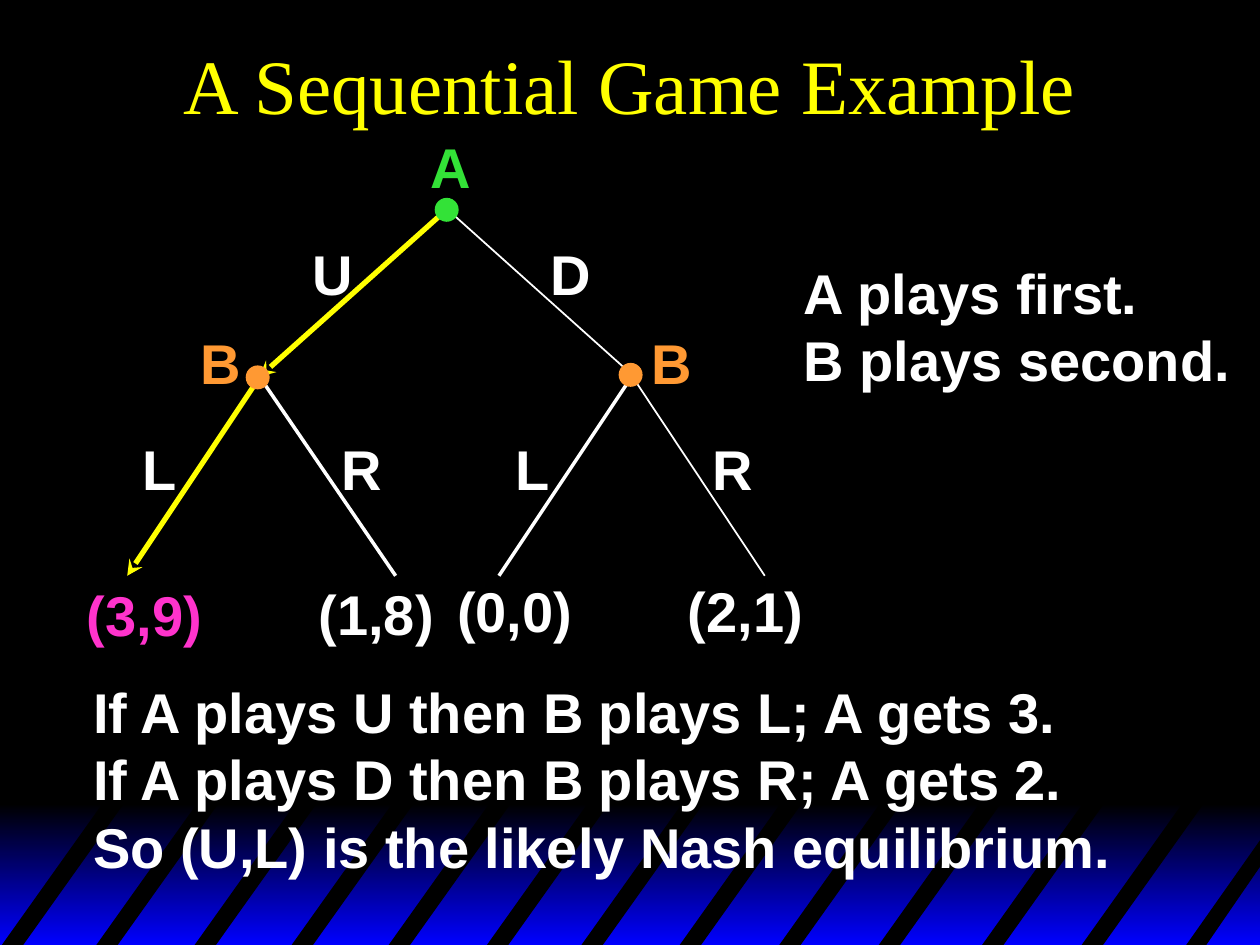
from dataclasses import dataclass

from lxml.etree import SubElement
from pptx import Presentation
from pptx.dml.color import RGBColor
from pptx.enum.shapes import MSO_CONNECTOR, MSO_SHAPE
from pptx.enum.text import MSO_ANCHOR, MSO_AUTO_SIZE, PP_ALIGN
from pptx.oxml.ns import qn
from pptx.util import Inches, Pt


@dataclass(frozen=True)
class Theme:
    black: str = "000000"
    blue: str = "0000FF"
    white: str = "FFFFFF"
    yellow: str = "FFFF00"
    green: str = "33E237"
    orange: str = "FF9933"
    pink: str = "FF33CC"
    title_font: str = "Times New Roman"
    body_font: str = "Arial"
    title_size: int = 44
    body_size: int = 32


THEME = Theme()


def rgb(color):
    return RGBColor.from_string(color)


def finish(sp, color):
    sp.shadow.inherit = False
    sp.fill.solid()
    sp.fill.fore_color.rgb = rgb(color)
    sp.line.fill.background()


def add_band(s):
    sp = s.shapes.add_shape(MSO_SHAPE.RECTANGLE, 0, Inches(6.38), Inches(10.02), Inches(1.12))
    sp.shadow.inherit = False
    sp.line.fill.background()
    sp.fill.gradient()
    sp.fill.gradient_angle = 270
    for stop, color in zip(sp.fill.gradient_stops, (THEME.black, THEME.blue)):
        stop.color.rgb = rgb(color)


def add_polygon(s, points, color):
    points = [(Inches(x), Inches(y)) for x, y in points]
    builder = s.shapes.build_freeform(*points[0])
    builder.add_line_segments(points[1:], close=True)
    finish(builder.convert_to_shape(), color)


def add_stripes(s):
    top, bottom, lean, width = 6.34, 7.52, 0.84, 0.17
    lefts = (0, 0.75, 1.53, 2.3, 3.07, 3.85, 4.6, 5.38, 6.17, 6.96, 7.78, 8.57)
    for x in lefts:
        add_polygon(s, [(x, bottom), (x + lean, top), (x + lean + width, top),
                        (x + width, bottom)], THEME.black)
    # The last stripe is cut by the right edge
    add_polygon(s, [(9.4, bottom), (10.02, 6.64), (10.02, 6.85), (9.56, bottom)], THEME.black)


def add_branch(s, start, end, color, width, arrow=False):
    ends = [Inches(v) for v in start + end]
    line = s.shapes.add_connector(MSO_CONNECTOR.STRAIGHT, *ends)
    line.line.color.rgb = rgb(color)
    line.line.width = Pt(width)
    if arrow:
        SubElement(line.line._get_or_add_ln(), qn("a:tailEnd"), type="stealth")
    SubElement(line._element.spPr, qn("a:effectLst"))


def add_node(s, x, y, color):
    size = Inches(0.19)
    finish(s.shapes.add_shape(MSO_SHAPE.OVAL, Inches(x), Inches(y), size, size), color)


def add_text(s, paragraphs, x, y, w, h, color=THEME.white, wrap=False):
    """Each paragraph is a list of lines."""
    tf = s.shapes.add_textbox(Inches(x), Inches(y), Inches(w), Inches(h)).text_frame
    tf.word_wrap = wrap
    tf.auto_size = MSO_AUTO_SIZE.SHAPE_TO_FIT_TEXT
    for i, lines in enumerate(paragraphs):
        p = tf.add_paragraph() if i else tf.paragraphs[0]
        for j, line in enumerate(lines):
            if j:
                p.add_line_break()
            add_run(p, line, THEME.body_font, THEME.body_size, color, True)


def add_run(p, text, font, size, color, bold=False):
    r = p.add_run()
    r.text = text
    r.font.name = font
    r.font.size = Pt(size)
    r.font.bold = bold
    r.font.color.rgb = rgb(color)


def add_title(s, text):
    tf = s.shapes.add_textbox(0, 0, Inches(10), Inches(1.33)).text_frame
    tf.word_wrap = True
    tf.vertical_anchor = MSO_ANCHOR.MIDDLE
    p = tf.paragraphs[0]
    p.alignment = PP_ALIGN.CENTER
    add_run(p, text, THEME.title_font, THEME.title_size, THEME.yellow)


def main():
    prs = Presentation()
    prs.slide_width, prs.slide_height = Inches(10), Inches(7.5)
    s = prs.slides.add_slide(prs.slide_layouts[6])

    # Background
    s.background.fill.solid()
    s.background.fill.fore_color.rgb = rgb(THEME.black)
    add_band(s)
    add_stripes(s)
    add_title(s, "A Sequential Game Example")

    # Branches, with the equilibrium path in yellow
    add_branch(s, (3.56, 1.67), (5, 2.96), THEME.white, 1)
    add_branch(s, (3.56, 1.65), (2.06, 2.99), THEME.yellow, 3, arrow=True)
    add_branch(s, (2.06, 2.99), (3.14, 4.57), THEME.white, 2)
    add_branch(s, (2.05, 3.01), (1.01, 4.57), THEME.yellow, 3, arrow=True)
    add_branch(s, (5.02, 2.98), (3.96, 4.57), THEME.white, 2)
    add_branch(s, (5.02, 2.99), (6.07, 4.57), THEME.white, 1)

    # Decision nodes
    add_node(s, 3.45, 1.57, THEME.green)
    add_node(s, 1.95, 2.9, THEME.orange)
    add_node(s, 4.91, 2.88, THEME.orange)

    # Moves
    for move, x, y in (("U", 2.38, 1.85), ("D", 4.27, 1.85), ("L", 1.03, 3.4),
                       ("L", 3.99, 3.4), ("R", 2.61, 3.4), ("R", 5.56, 3.4)):
        add_text(s, [[move]], x, y, 0.51, 0.63, wrap=True)

    # Payoffs
    for payoff, x, y, color in (("(3,9)", 0.59, 4.56, THEME.pink),
                                ("(1,8)", 2.43, 4.55, THEME.white),
                                ("(0,0)", 3.53, 4.53, THEME.white),
                                ("(2,1)", 5.36, 4.53, THEME.white)):
        add_text(s, [[payoff]], x, y, 1.12, 0.63, color)

    # Players
    for player, x, y, color in (("A", 3.32, 1, THEME.green),
                                ("B", 1.49, 2.56, THEME.orange),
                                ("B", 5.07, 2.56, THEME.orange)):
        add_text(s, [[player]], x, y, 0.52, 0.63, color)

    # Explanation
    add_text(s, [["A plays first.", "B plays second."]], 6.28, 2, 3.59, 1.17)
    add_text(s, [["If A plays U then B plays L; A gets 3."],
                 ["If A plays D then B plays R; A gets 2.",
                  "So (U,L) is the likely Nash equilibrium."]], 0.64, 5.33, 8.29, 1.7)

    prs.save("out.pptx")


if __name__ == "__main__":
    main()
